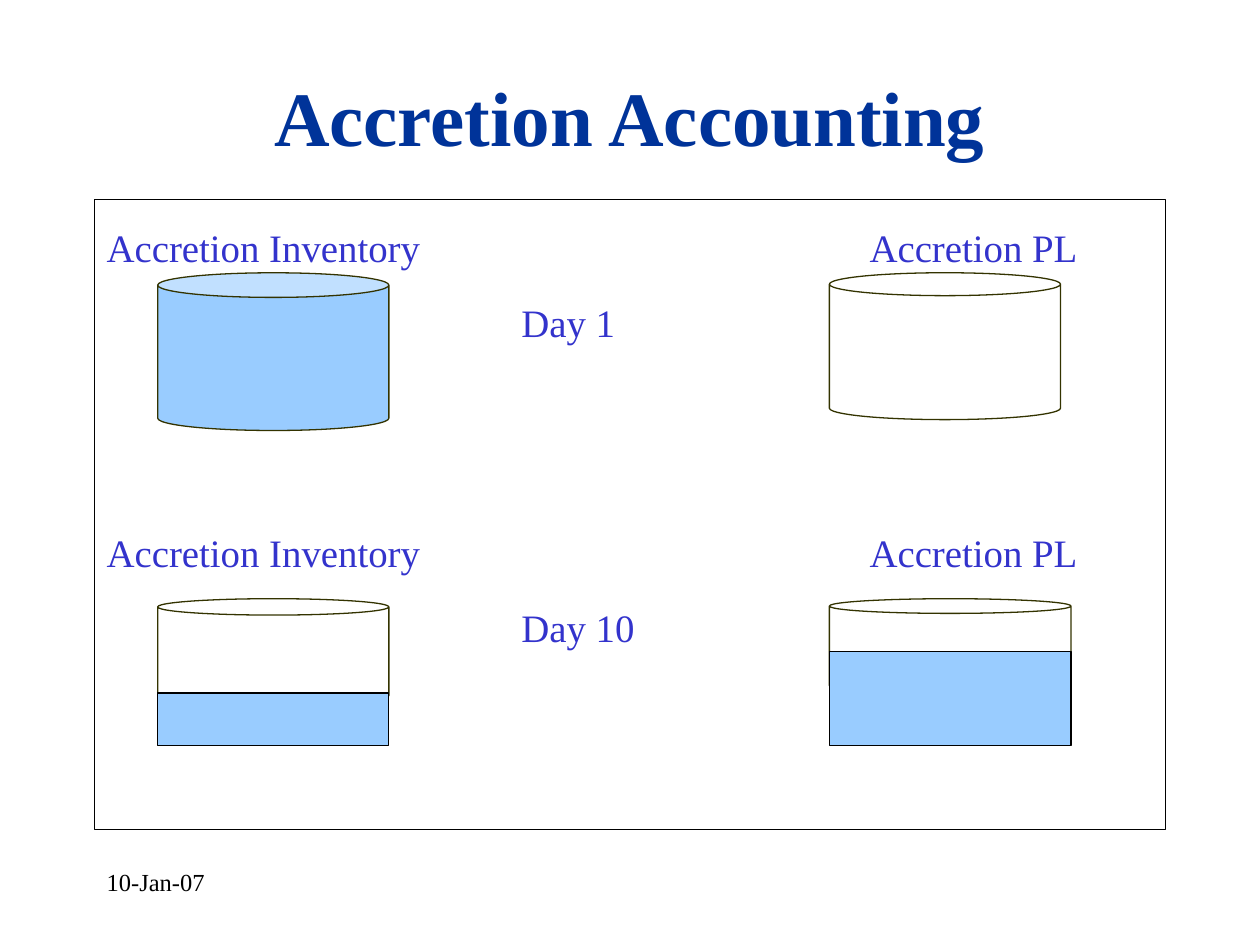
from lxml import etree
from pptx import Presentation
from pptx.dml.color import RGBColor
from pptx.enum.shapes import MSO_SHAPE
from pptx.enum.text import MSO_ANCHOR, PP_ALIGN
from pptx.oxml.ns import qn
from pptx.util import Cm, Pt

CAN, RECT = MSO_SHAPE.CAN, MSO_SHAPE.RECTANGLE
LEFT, CENTER = PP_ALIGN.LEFT, PP_ALIGN.CENTER
TOP, MIDDLE = MSO_ANCHOR.TOP, MSO_ANCHOR.MIDDLE

THEME = {
    "font": "Times New Roman",
    "title": RGBColor(0x00, 0x33, 0x99),
    "label": RGBColor(0x33, 0x33, 0xCC),
    "black": RGBColor(0x00, 0x00, 0x00),
    "white": RGBColor(0xFF, 0xFF, 0xFF),
    "liquid": RGBColor(0x99, 0xCC, 0xFF),
    "can_line": RGBColor(0x33, 0x33, 0x00),
    "title_size": Pt(44),
    "label_size": Pt(22.2),
    "date_size": Pt(14),
    "line_width": Pt(0.75),
}


def add_box(kind, x, y, w, h, fill, line):
    sp = s.shapes.add_shape(kind, Cm(x), Cm(y), Cm(w), Cm(h))
    sp.shadow.inherit = False
    if fill is None:
        sp.fill.background()
    else:
        sp.fill.solid()
        sp.fill.fore_color.rgb = THEME[fill]
    sp.line.color.rgb = THEME[line]
    sp.line.width = THEME["line_width"]
    return sp


def style(p, role, align, color, bold=False):
    p.alignment = align
    for r in p.runs:
        r.font.name = THEME["font"]
        r.font.size = THEME[f"{role}_size"]
        r.font.color.rgb = THEME[color]
        r.font.bold = bold


prs = Presentation()
prs.slide_width, prs.slide_height = Cm(25.4), Cm(19.05)
s = prs.slides.add_slide(prs.slide_layouts[6])

for text, y, h, w, role, align, anchor, color, bold in (
    ("10-Jan-07", 17.36, 1.27, 5.29, "date", LEFT, TOP, "black", False),
    ("Accretion Accounting", 1.06, 2.54, 21.59, "title", CENTER, MIDDLE, "title", True),
):
    tf = s.shapes.add_textbox(Cm(1.9), Cm(y), Cm(w), Cm(h)).text_frame
    tf.word_wrap = True
    tf.vertical_anchor = anchor
    tf.text = text
    style(tf.paragraphs[0], role, align, color, bold)

tf = add_box(RECT, 1.9, 4.02, 21.59, 12.7, "white", "black").text_frame
tf.word_wrap = True
tf.vertical_anchor = TOP
tf.margin_left = tf.margin_right = Cm(0.25)
tf.margin_top = Cm(0.48)
heading = "Accretion Inventory\t\tAccretion PL"
tf.text = "\n".join((heading, "\tDay 1", heading, "\tDay 10"))
for p, before in zip(tf.paragraphs, (0, 16.2, 104.8, 16.2)):
    tabs = etree.SubElement(p._p.get_or_add_pPr(), qn("a:tabLst"))
    for stop in (8.36, 15.38):
        etree.SubElement(tabs, qn("a:tab"), pos=str(Cm(stop)), algn="l")
    p.space_before = Pt(before)
    style(p, "label", LEFT, "label")

INVENTORY_X, PL_X = 3.18, 16.72
for x, y, w, h, fill in (
    (INVENTORY_X, 5.5, 4.66, 3.18, "liquid"),
    (PL_X, 5.5, 4.66, 2.96, None),
    (INVENTORY_X, 12.07, 4.66, 2.12, "white"),
    (PL_X, 12.07, 4.87, 1.9, "white"),
):
    add_box(CAN, x, y, w, h, fill, "can_line").adjustments[0] = 0.156

LEVEL_BOTTOM = 15.03
for x, w, h in ((INVENTORY_X, 4.66, 1.06), (PL_X, 4.87, 1.9)):
    add_box(RECT, x, LEVEL_BOTTOM - h, w, h, "liquid", "black")

prs.save("out.pptx")
